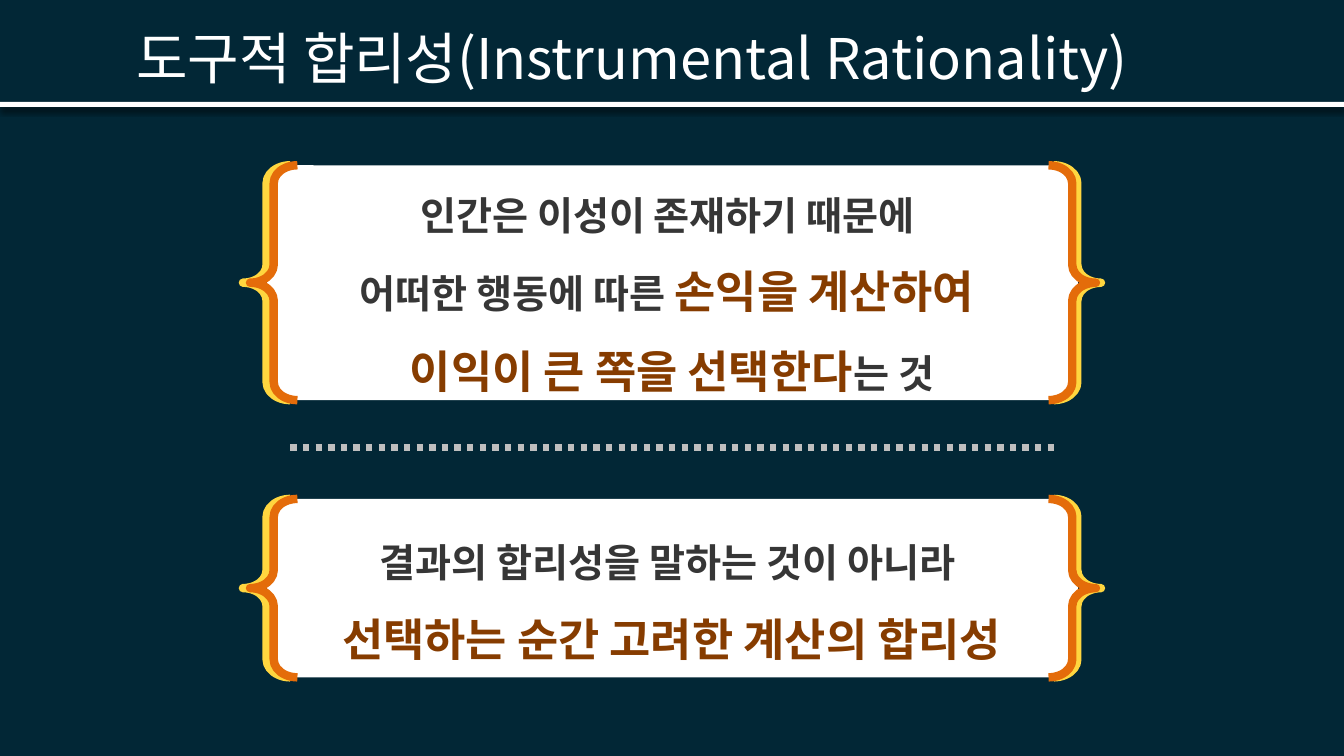
from dataclasses import dataclass

from lxml import etree
from pptx import Presentation, util as u
from pptx.dml.color import RGBColor
from pptx.enum import dml, shapes, text
from pptx.oxml import ns

PX = 9144  # EMU per px, 100 px to the inch
SLIDE_WIDTH, SLIDE_HEIGHT = 1333, 750


@dataclass(frozen=True)
class Theme:
    font: str = "Noto Sans CJK KR"
    background: str = "022736"
    white: str = "FFFFFF"
    yellow: str = "FFD63F"
    orange: str = "E46C0A"
    dots: str = "BFBFBF"
    body: str = "363636"
    accent: str = "863C00"
    title_size: int = 40
    body_size: int = 28
    accent_size: int = 32
    line_pitch: int = 57


THEME = Theme()


def px(*lengths):
    return [u.Emu(length * PX) for length in lengths]


def rgb(colour):
    return RGBColor.from_string(colour)


def add_text(paragraph, content, size=THEME.body_size, colour=THEME.body, bold=False):
    run = paragraph.add_run()
    run.text = content
    font = run.font
    font.name, font.size, font.bold = THEME.font, u.Pt(size), bold
    font.color.rgb = rgb(colour)
    # Korean letters take the East Asian typeface
    east_asian = etree.SubElement(run._r.get_or_add_rPr(), ns.qn("a:ea"))
    east_asian.set("typeface", THEME.font)


def add_filled(parent, kind, box, colour):
    shape = parent.shapes.add_shape(kind, *px(*box))
    shape.shadow.inherit = False
    shape.fill.solid()
    shape.fill.fore_color.rgb = rgb(colour)
    shape.line.fill.background()
    return shape


def add_brace(parent, kind, box, colour):
    brace = parent.shapes.add_shape(kind, *px(*box))
    brace.shadow.inherit = False
    brace.adjustments[0] = 0.38
    brace.fill.background()
    brace.line.color.rgb = rgb(colour)
    brace.line.width = u.Pt(6)


def add_panel(slide, top, height):
    """White panel held between two-tone braces."""
    group = slide.shapes.add_group_shape()
    panel = add_filled(group, shapes.MSO_SHAPE.ROUNDED_RECTANGLE,
                       (265, top, 804, height), THEME.white)
    panel.adjustments[0] = 0.114
    for kind, yellow_left, orange_left in (
        (shapes.MSO_SHAPE.LEFT_BRACE, 241, 248),
        (shapes.MSO_SHAPE.RIGHT_BRACE, 1045, 1040),
    ):
        add_brace(group, kind, (yellow_left, top, 47, height), THEME.yellow)
        add_brace(group, kind, (orange_left, top, 47, height), THEME.orange)


def add_statement(slide, box, lines):
    """Centred lines; each line is a list of (words, is_accent)."""
    frame = slide.shapes.add_textbox(*px(*box)).text_frame
    frame.word_wrap = True
    for index, line in enumerate(lines):
        paragraph = frame.add_paragraph() if index else frame.paragraphs[0]
        paragraph.alignment = text.PP_ALIGN.CENTER
        paragraph.line_spacing = u.Pt(THEME.line_pitch)
        for words, is_accent in line:
            add_text(paragraph, words, bold=True,
                     size=THEME.accent_size if is_accent else THEME.body_size,
                     colour=THEME.accent if is_accent else THEME.body)


def add_title(slide, content):
    title = slide.shapes.title
    title.left, title.top, title.width, title.height = px(125, 24, 1093, 66)
    frame = title.text_frame
    frame.auto_size = text.MSO_AUTO_SIZE.NONE
    frame.vertical_anchor = text.MSO_ANCHOR.MIDDLE
    paragraph = frame.paragraphs[0]
    paragraph.alignment = text.PP_ALIGN.LEFT
    add_text(paragraph, content, size=THEME.title_size, colour=THEME.white)


def add_title_rule(slide):
    rule = add_filled(slide, shapes.MSO_SHAPE.RECTANGLE,
                      (0, 101, SLIDE_WIDTH, 5), THEME.white)
    effects = rule._element.spPr.find(ns.qn("a:effectLst"))
    shadow = etree.SubElement(effects, ns.qn("a:outerShdw"), blurRad=str(u.Pt(4)),
                              dist=str(u.Pt(3)), dir="5400000", rotWithShape="0")
    colour = etree.SubElement(shadow, ns.qn("a:srgbClr"), val="000000")
    etree.SubElement(colour, ns.qn("a:alpha"), val="69000")


def add_dotted_line(slide, left, right, top):
    line = slide.shapes.add_connector(shapes.MSO_CONNECTOR.STRAIGHT,
                                      *px(left, top, right, top))
    line.line.color.rgb = rgb(THEME.dots)
    line.line.width = u.Pt(4.5)
    line.line.dash_style = dml.MSO_LINE.ROUND_DOT
    etree.SubElement(line._element.spPr, ns.qn("a:effectLst"))


def main():
    presentation = Presentation()
    presentation.slide_width, presentation.slide_height = px(SLIDE_WIDTH, SLIDE_HEIGHT)
    slide = presentation.slides.add_slide(presentation.slide_layouts[5])
    slide.background.fill.solid()
    slide.background.fill.fore_color.rgb = rgb(THEME.background)

    # Heading
    add_title_rule(slide)
    add_title(slide, "도구적 합리성(Instrumental Rationality)")

    # Definition
    add_panel(slide, top=164, height=233)
    add_statement(slide, (306, 152, 721, 241), [
        [("인간은 이성이 존재하기 때문에 ", False)],
        [("어떠한 행동에 따른 ", False), ("손익을 계산하여 ", True)],
        [("이익이 큰 쪽을 선택한다", True), ("는 것", False)],
    ])

    add_dotted_line(slide, left=288, right=1045, top=444)

    # Clarification
    add_panel(slide, top=495, height=177)
    add_statement(slide, (290, 497, 753, 163), [
        [("결과의 합리성을 말하는 것이 아니라 ", False)],
        [("선택하는 순간 고려한 계산의 합리성", True)],
    ])

    presentation.save("out.pptx")


if __name__ == "__main__":
    main()
